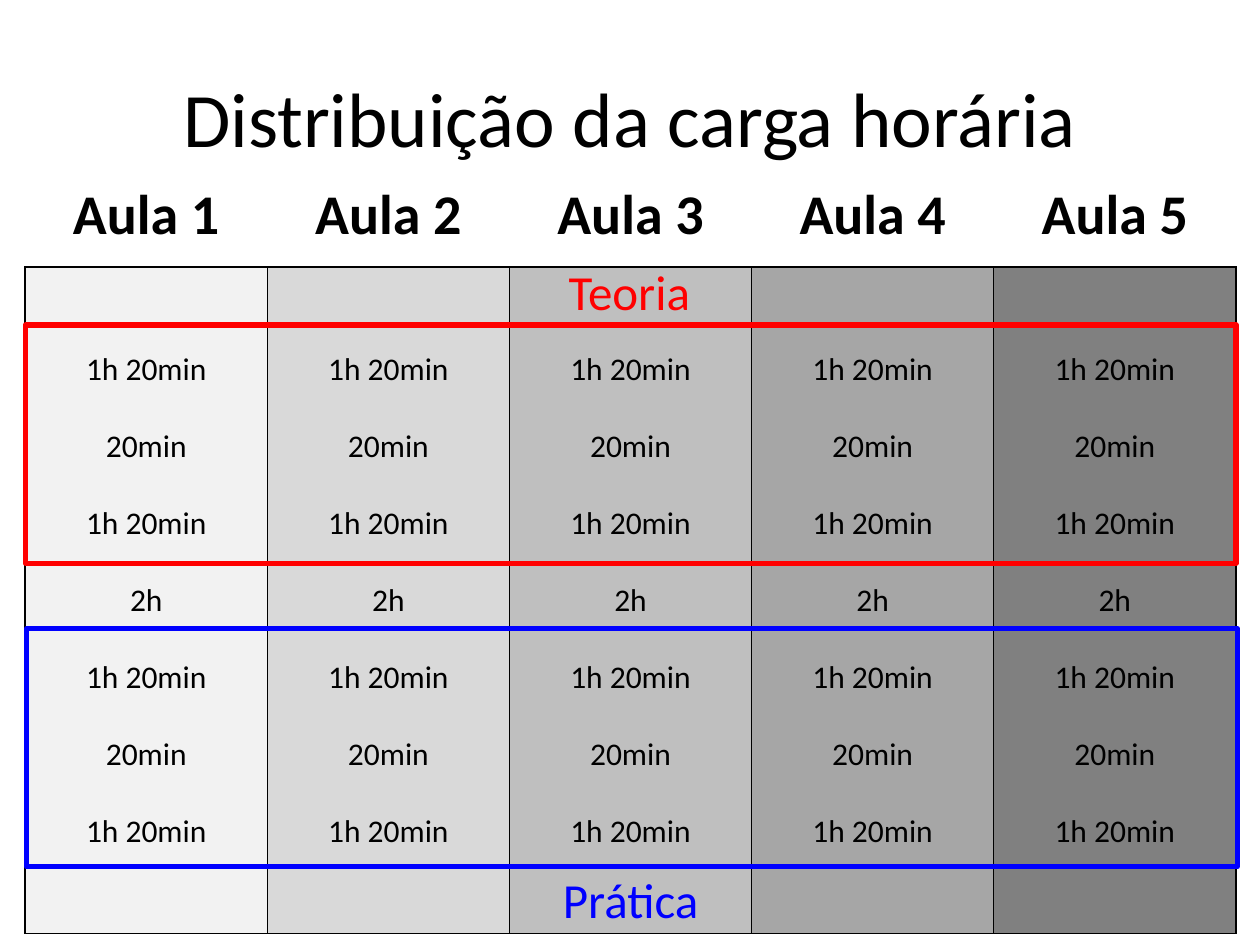
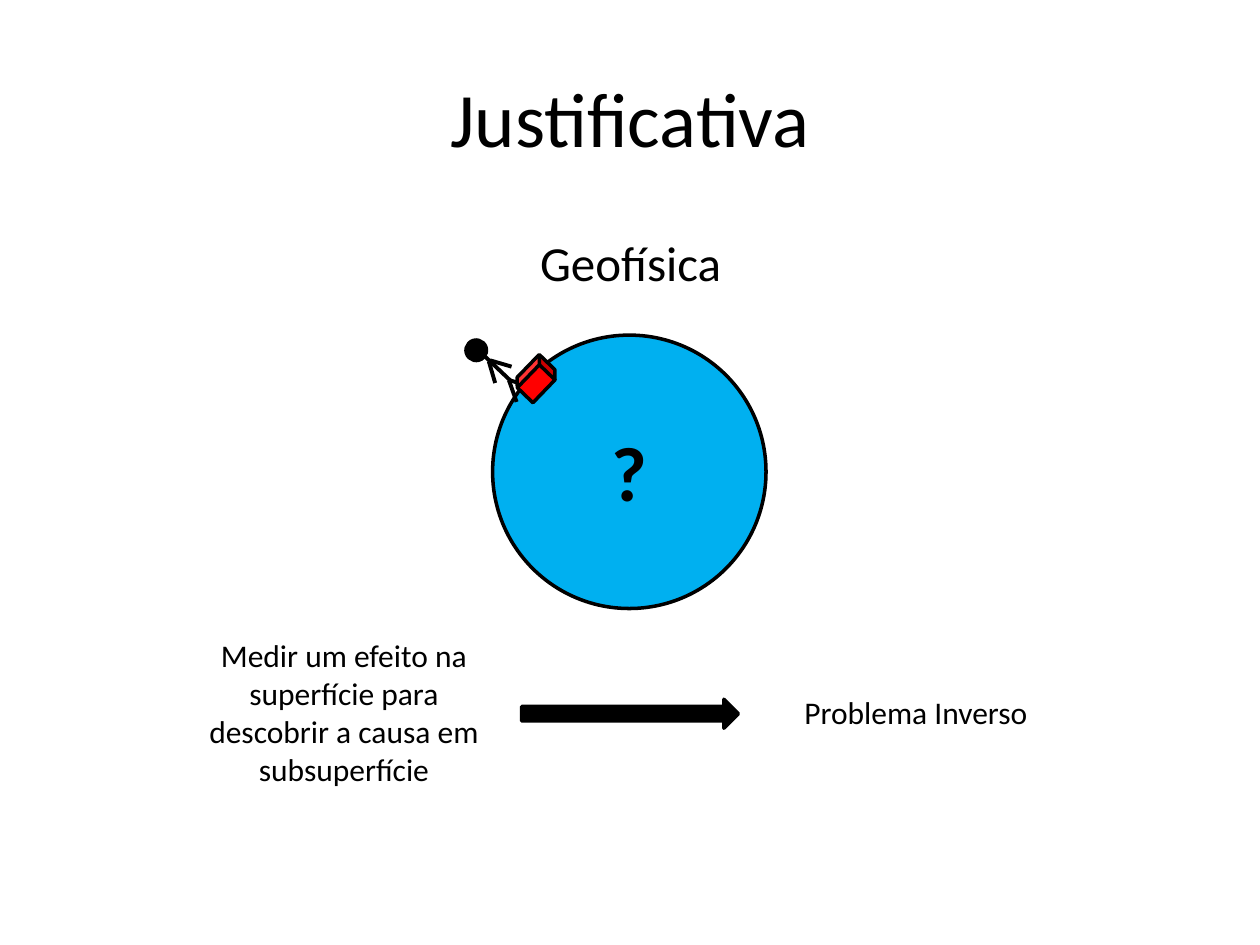
from dataclasses import dataclass

from lxml.etree import SubElement
from pptx import Presentation
from pptx.dml.color import RGBColor
from pptx.enum.shapes import MSO_CONNECTOR as Connector, MSO_SHAPE as Preset
from pptx.enum.text import MSO_ANCHOR as Anchor, MSO_AUTO_SIZE as AutoSize, PP_ALIGN as Align
from pptx.oxml.ns import qn
from pptx.util import Inches, Pt

WIDTH, HEIGHT = Inches(10), Inches(7.5)
COLUMNS = 100
UNIT = WIDTH / COLUMNS
FONT = "Calibri"
BLACK, RED, BLUE, SKY = "000000", "FF0000", "0000FF", "00B0F0"
GREYS = ["F2F2F2", "D9D9D9", "BFBFBF", "A6A6A6", "808080"]
BLOCK = ["1h 20min", "20min", "1h 20min"]
TIMES = BLOCK + ["2h"] + BLOCK
LIMBS = [
    ((1.8, 1.7), (2.3, 3.4)),
    ((1.9, 1.6), (3.6, 2.1)),
    ((1.5, 1.3), (3.5, 3.2)),
    ((3.4, 3.2), (4, 4.9)),
    ((3.5, 3.2), (5.2, 3.7)),
]


@dataclass
class Box:
    left: float
    top: float
    width: float
    height: float

    def inner(self, left, top, width, height):
        return Box(self.left + left, self.top + top, width, height)

    def point(self, column, row):
        return round((self.left + column) * UNIT), round((self.top + row) * UNIT)

    def frame(self):
        return *self.point(0, 0), round(self.width * UNIT), round(self.height * UNIT)


def color(value):
    return RGBColor.from_string(value)


def write(frame, text, size=18, ink=BLACK, bold=False, gap=0, anchor=Anchor.TOP):
    frame.word_wrap = True
    frame.vertical_anchor = anchor
    lines = [text] if isinstance(text, str) else text
    for index, line in enumerate(lines):
        para = frame.add_paragraph() if index else frame.paragraphs[0]
        para.alignment = Align.CENTER
        para.space_before = Pt(gap if index else 0)
        span = para.add_run()
        span.text = line
        span.font.name = FONT
        span.font.size = Pt(size)
        span.font.bold = bold
        span.font.color.rgb = color(ink)


def add_text(parent, box, text, **style):
    write(parent.shapes.add_textbox(*box.frame()).text_frame, text, **style)


def add_preset(parent, preset, box, fill=None, line=BLACK, weight=2, turn=0):
    shape = parent.shapes.add_shape(preset, *box.frame())
    shape.shadow.inherit = False
    shape.rotation = turn
    shape.line.color.rgb = color(line)
    shape.line.width = Pt(weight)
    if fill:
        shape.fill.solid()
        shape.fill.fore_color.rgb = color(fill)
    else:
        shape.fill.background()


def add_line(parent, start, end, ink=BLACK, weight=2.25):
    line = parent.shapes.add_connector(Connector.STRAIGHT, *start, *end)
    line.line.color.rgb = color(ink)
    line.line.width = Pt(weight)
    SubElement(line._element.spPr, qn("a:effectLst"))


def add_page(deck, text):
    page = deck.slides.add_slide(deck.slide_layouts[5])
    title = page.shapes.title
    title.left, title.top, title.width, title.height = Box(5, 3, 90, 12.5).frame()
    write(title.text_frame, text, size=44, anchor=Anchor.MIDDLE)
    title.text_frame.auto_size = AutoSize.NONE
    return page


def add_borders(cell, ink=BLACK, weight=1):
    properties = cell._tc.get_or_add_tcPr()
    for side in ("a:lnL", "a:lnR", "a:lnT", "a:lnB"):
        border = SubElement(properties, qn(side), w=str(Pt(weight)))
        fill = SubElement(border, qn("a:solidFill"))
        SubElement(fill, qn("a:srgbClr"), val=ink)


def add_headings(page, box):
    step = box.width / len(GREYS)
    for index in range(len(GREYS)):
        heading = box.inner(index * step, 0, step, box.height)
        add_text(page, heading, f"Aula {index + 1}", size=32, bold=True)


def add_schedule(page, box):
    table = page.shapes.add_table(1, len(GREYS), *box.frame()).table
    table.first_row = table.horz_banding = False
    for index, grey in enumerate(GREYS):
        cell = table.cell(0, index)
        add_borders(cell)
        cell.fill.solid()
        cell.fill.fore_color.rgb = color(grey)
        write(cell.text_frame, TIMES, gap=22)
        cell.vertical_anchor = Anchor.MIDDLE


def add_session(page, box, name, ink, name_row):
    add_preset(page, Preset.RECTANGLE, box, line=ink, weight=3)
    add_text(page, box.inner(36.6, name_row, 22.7, 5.7), name, size=28, ink=ink)


def add_observer(page, box):
    observer = page.shapes.add_group_shape()
    for start, end in LIMBS:
        add_line(observer, box.point(*start), box.point(*end))
    add_preset(observer, Preset.OVAL, box.inner(0, 0, 1.6, 1.6), fill=BLACK, weight=2.25, turn=314)
    add_preset(page, Preset.CUBE, box.inner(4, 1.9, 3.1, 2.3), fill=RED, turn=314)


def add_planet(page, box):
    add_text(page, box.inner(0, 0, box.width, 5.7), "Geofísica", size=28)
    add_preset(page, Preset.OVAL, box.inner(3.9, 8.6, 21.7, 21.7), fill=SKY)
    add_observer(page, box.inner(1.8, 9, 7.1, 4.9))
    add_text(page, box.inner(8.5, 15.2, 12.5, 8.4), "?", size=44, bold=True)


def add_reasoning(page, box):
    effect = "Medir um efeito na superfície para descobrir a causa em subsuperfície"
    add_text(page, box.inner(0, 0, 25, box.height), effect)
    add_text(page, box.inner(box.width - 25, 4.5, 25, 4), "Problema Inverso")
    add_preset(page, Preset.RIGHT_ARROW, box.inner(26.6, 5.5, 17.2, 2.3), fill=BLACK)


def build_schedule_page(deck):
    page = add_page(deck, "Distribuição da carga horária")
    add_schedule(page, Box(2, 21.2, 96.1, 52.9))
    add_headings(page, Box(2, 13.7, 96.1, 6.4))
    add_session(page, Box(2, 25.8, 96.1, 18.9), "Teoria", RED, -5.5)
    add_session(page, Box(2.1, 49.9, 96.1, 18.9), "Prática", BLUE, 18.6)


def build_reason_page(deck):
    page = add_page(deck, "Justificativa")
    add_planet(page, Box(35.2, 18, 29.7, 30.3))
    add_reasoning(page, Box(14.8, 50, 70.4, 13.1))


def main():
    deck = Presentation()
    deck.slide_width, deck.slide_height = WIDTH, HEIGHT
    build_schedule_page(deck)
    build_reason_page(deck)
    deck.save("out.pptx")


if __name__ == "__main__":
    main()
